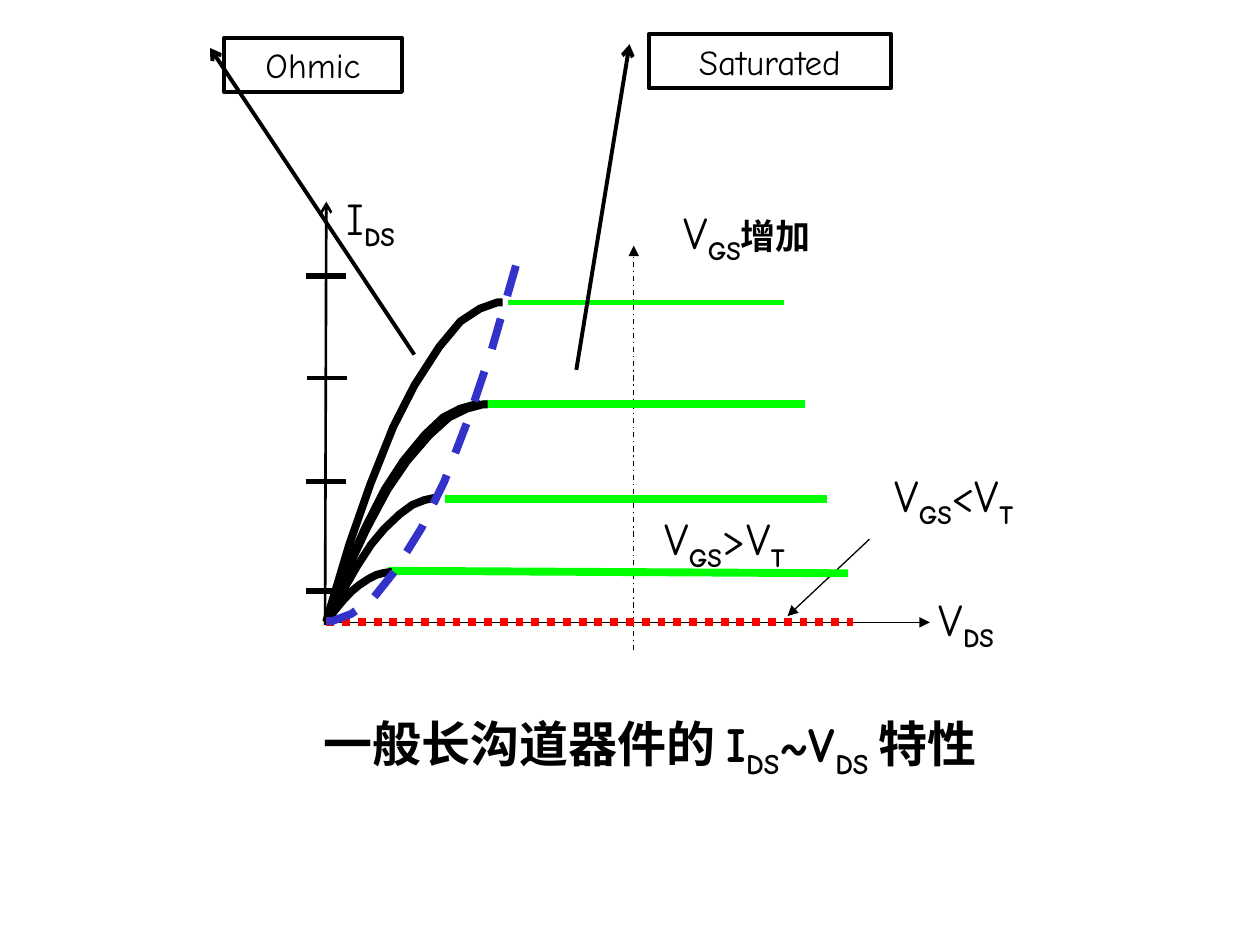
import pptx
import pptx.dml.color
import pptx.enum.dml
import pptx.enum.shapes
import pptx.enum.text
import pptx.oxml
import pptx.oxml.ns
import pptx.util

BLACK = pptx.dml.color.RGBColor(0x00, 0x00, 0x00)
WHITE = pptx.dml.color.RGBColor(0xFF, 0xFF, 0xFF)
GREEN = pptx.dml.color.RGBColor(0x00, 0xFF, 0x00)
RED = pptx.dml.color.RGBColor(0xFF, 0x00, 0x00)
BLUE = pptx.dml.color.RGBColor(0x33, 0x33, 0xCC)
FONT = "Comic Neue"
DASH = pptx.enum.dml.MSO_LINE
CENTER = pptx.enum.text.PP_ALIGN.CENTER
LEFT = pptx.enum.text.PP_ALIGN.LEFT
COLUMNS = 100
CELL = pptx.util.Inches(10) // COLUMNS

BEND = [(0, 0), (0.13, 0.24), (0.25, 0.43), (0.38, 0.61), (0.5, 0.74), (0.64, 0.86),
        (0.76, 0.94), (0.87, 0.98), (0.92, 0.99), (0.97, 1), (1, 1)]


def cells(*counts):
    """Convert grid cells to slide lengths."""
    return [pptx.util.Emu(round(count * CELL)) for count in counts]


def add_mark(parent, tag, **attributes):
    """Append an empty DrawingML element."""
    mark = pptx.oxml.parse_xml(f"<{tag} {pptx.oxml.ns.nsdecls('a')}/>")
    for key, value in attributes.items():
        mark.set(key, value)
    parent.append(mark)


def style_line(line, color=BLACK, weight=0.75, dash=None):
    """Set the colour, weight and dash of a line."""
    line.color.rgb = color
    line.width = pptx.util.Pt(weight)
    if dash:
        line.dash_style = dash


def write(frame, pieces, size=26, align=CENTER, bold=False, color=BLACK):
    """Write (text, subscript, bold, size) pieces, later fields optional, in one paragraph."""
    frame.word_wrap = True
    frame.auto_size = pptx.enum.text.MSO_AUTO_SIZE.SHAPE_TO_FIT_TEXT
    frame.vertical_anchor = pptx.enum.text.MSO_ANCHOR.TOP
    frame.margin_left = frame.margin_right = pptx.util.Inches(0.09)
    paragraph = frame.paragraphs[0]
    paragraph.alignment = align
    for text, subscript, heavy, points in [(*p, False, bold, size)[:4] if len(p) == 1 else p for p in pieces]:
        run = paragraph.add_run()
        run.text = text
        run.font.name = FONT
        run.font.size = pptx.util.Pt(points)
        run.font.bold = heavy
        run.font.color.rgb = color
        if subscript:
            run._r.get_or_add_rPr().set("baseline", "-25000")


def symbol(letter, subscript, size=26, bold=False):
    """Give the pieces of a letter with a bold subscript."""
    return [(letter, False, bold, size), (subscript, True, True, size)]


def draw_line(slide, box, start, end, arrow=None, **look):
    """Draw a straight line between graph points measured from the box's lower left corner."""
    left, top, width, height = box
    ends = [(left + x, top + height - y) for x, y in (start, end)]
    line = slide.shapes.add_connector(
        pptx.enum.shapes.MSO_CONNECTOR.STRAIGHT, *cells(*ends[0], *ends[1]))
    style_line(line.line, **look)
    if arrow:
        add_mark(line.line._get_or_add_ln(), arrow[0], type=arrow[1])
    add_mark(line._element.spPr, "a:effectLst")


def draw_curve(slide, box, start, span, turned=False, **look):
    """Draw the bend scaled to a span, optionally turned by half a circle."""
    left, top, width, height = box
    bend = [(1 - x, 1 - y) for x, y in reversed(BEND)] if turned else BEND
    points = [cells(left + start[0] + x * span[0], top + height - start[1] - y * span[1])
              for x, y in bend]
    builder = slide.shapes.build_freeform(*points[0])
    builder.add_line_segments(points[1:], close=False)
    curve = builder.convert_to_shape()
    curve.fill.background()
    curve.shadow.inherit = False
    style_line(curve.line, weight=4.5, **look)


def build_curves(slide, box):
    """Draw the drain curves, the saturation boundary and the cut-off line."""
    plateaus = [((14.4, 25.4), (36.3, 25.4), 3), ((12.4, 17.3), (38, 17.3), 4.5),
                ((9.4, 9.8), (39.7, 9.8), 4.5), ((4.9, 4.1), (41.4, 3.9), 4.5)]
    for start, end, weight in plateaus:
        draw_line(slide, box, start, end, color=GREEN, weight=weight)
    ramps = [((0, 0.1), (14, 25.3)), ((0, 0), (12.2, 17.3)), ((0, 0), (12.8, 17.3)),
             ((0.3, 0.4), (8.6, 9.5)), ((0, 0), (5.2, 4))]
    for start, span in ramps:
        draw_curve(slide, box, start, span)
    draw_line(slide, box, (-0.2, 0), (47.9, 0), arrow=("a:tailEnd", "triangle"))
    draw_line(slide, box, (0, 0), (41.8, 0), color=RED, weight=4.5, dash=DASH.ROUND_DOT)
    draw_curve(slide, box, (0, 0.1), (15.1, 28.4), turned=True, color=BLUE, dash=DASH.DASH)


def build_axes(slide, box):
    """Draw the current axis with its ticks and the two pointers."""
    draw_line(slide, box, (0, 33.4), (-0.1, -0.2), arrow=("a:headEnd", "arrow"), weight=1.5)
    for x, y, weight in [(-1.6, 27.5, 3), (-1.5, 19.4, 2.25), (-1.6, 11.2, 3), (-1.6, 2.5, 3)]:
        draw_line(slide, box, (x, y), (x + 3.15, y), weight=weight)
    draw_line(slide, box, (24.4, -2.2), (24.4, 29.9), arrow=("a:tailEnd", "triangle"),
              dash=DASH.DASH_DOT)
    draw_line(slide, box, (43.1, 6.6), (36.6, 0.5), arrow=("a:tailEnd", "triangle"))


def build_labels(slide, box):
    """Place the axis and gate voltage labels around the graph."""
    gate = symbol("V", "GS")
    labels = [
        (47.7, 3, 11.7, LEFT, symbol("V", "DS")),
        (-1.2, 34.8, 9.4, CENTER, symbol("I", "DS")),
        (25, 9.4, 13.2, CENTER, gate + symbol(">V", "T")),
        (25.5, 33.7, 15.8, CENTER, gate + [("增加", False, True, 20)]),
        (43.2, 12.8, 13.2, CENTER, gate + symbol("<V", "T")),
    ]
    left, top, width, height = box
    for x, y, wide, align, pieces in labels:
        label = slide.shapes.add_textbox(*cells(left + x, top + height - y, wide, 5.9))
        write(label.text_frame, pieces, align=align)


def build_callout(slide, box, text, pointer):
    """Add a bordered callout whose line ends at a share of its box."""
    callout = slide.shapes.add_shape(pptx.enum.shapes.MSO_SHAPE.LINE_CALLOUT_1, *cells(*box))
    for index, share in enumerate((0.19, -0.08, *pointer)):
        callout.adjustments[index] = share
    callout.shadow.inherit = False
    callout.fill.solid()
    callout.fill.fore_color.rgb = WHITE
    style_line(callout.line, weight=2.25)
    add_mark(callout.line._get_or_add_ln(), "a:headEnd", type="arrow")
    write(callout.text_frame, [(text,)], size=20)


def build_caption(slide, box):
    """Set the slide's title below the graph."""
    caption = slide.shapes.title
    caption.left, caption.top, caption.width, caption.height = cells(*box)
    pieces = (symbol("一般长沟道器件的 I", "DS", size=28, bold=True)
              + symbol("~V", "DS ", size=28, bold=True) + [("特性",)])
    write(caption.text_frame, pieces, size=28, bold=True)


def main():
    """Build and save the slide."""
    deck = pptx.Presentation()
    deck.slide_width, deck.slide_height = cells(COLUMNS, 75)
    slide = deck.slides.add_slide(deck.slide_layouts[5])
    graph = (25.9, 16, 48, 33.4)
    build_caption(slide, (18.3, 56.1, 66.6, 6.3))
    build_axes(slide, graph)
    build_curves(slide, graph)
    build_labels(slide, graph)
    build_callout(slide, (17.8, 3, 14.1, 4.3), "Ohmic", (5.85, 1.07))
    build_callout(slide, (51.5, 2.7, 19.2, 4.3), "Saturated", (6.2, -0.3))
    deck.save("out.pptx")


if __name__ == "__main__":
    main()
